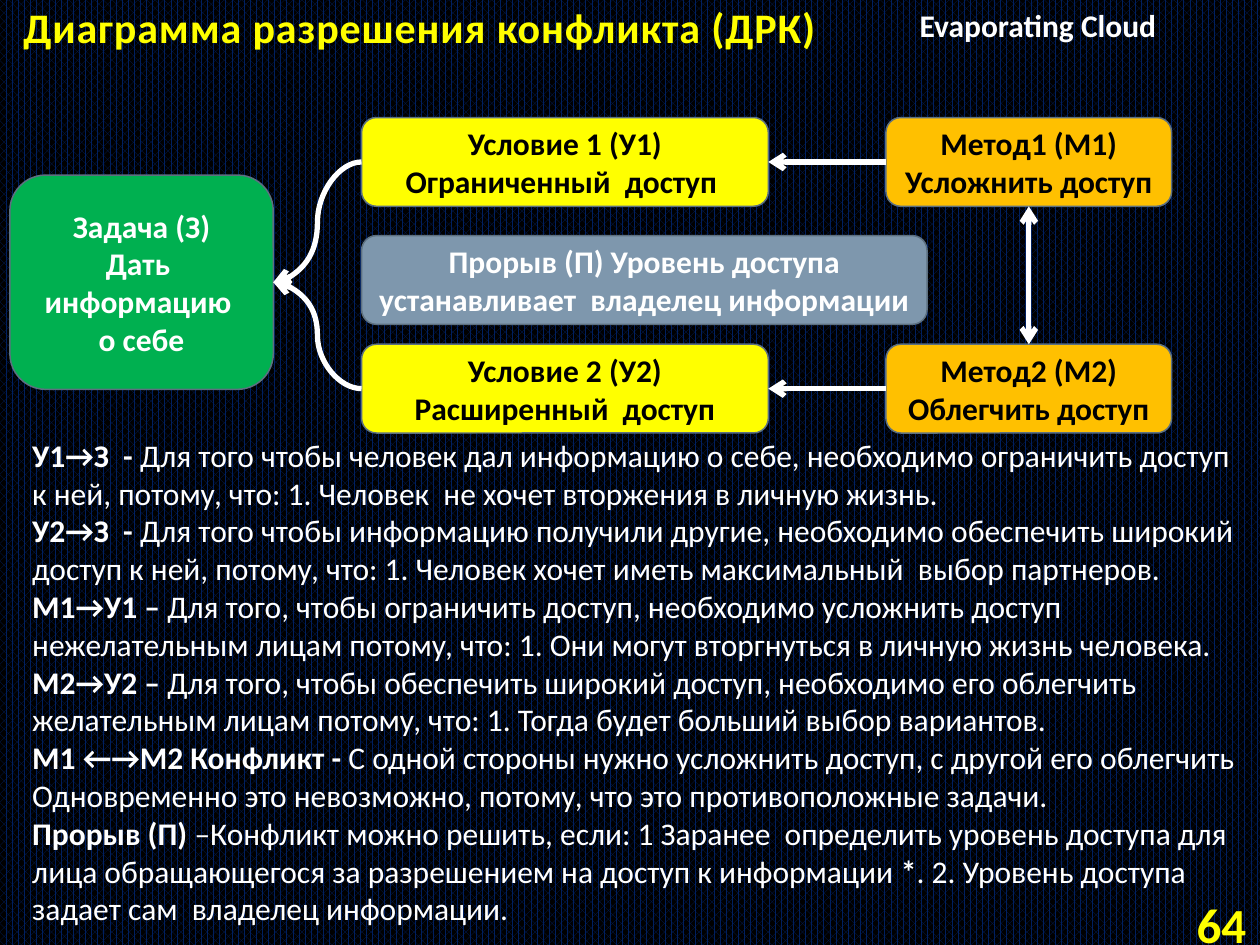
from dataclasses import dataclass

from pptx import Presentation
from pptx.dml.color import RGBColor as RGB
from pptx.enum.dml import MSO_PATTERN
from pptx.enum.shapes import MSO_CONNECTOR as Conn, MSO_SHAPE
from pptx.enum.text import MSO_ANCHOR as Anchor, MSO_AUTO_SIZE, PP_ALIGN as Align
from pptx.oxml.ns import qn
from pptx.util import Cm, Pt
from lxml.etree import SubElement


@dataclass(frozen=True)
class Theme:
    font: str = "Calibri"
    body: int = 18
    title: int = 24
    number: int = 28
    white: str = "FFFFFF"
    black: str = "000000"
    navy: str = "002060"
    yellow: str = "FFFF00"
    green: str = "00B050"
    orange: str = "FFC000"
    slate: str = "7E97AD"
    outline: str = "5D7080"


@dataclass(frozen=True)
class Box:
    lines: tuple
    left: float
    top: float
    width: float
    fill: str
    color: str = "000000"
    height: float = 1.79


T = Theme()


def rgb(value: str) -> RGB:
    return RGB.from_string(value)


def add_text(p, text: str, *, size=T.body, color=T.white, bold=True, spacing=0):
    """Add formatted text to a paragraph; a newline becomes a line break."""
    for i, part in enumerate(text.split("\n")):
        if i:
            p.add_line_break()
        r = p.add_run()
        r.text = part
        f = r.font
        f.name, f.size, f.bold = T.font, Pt(size), bold
        f.color.rgb = rgb(color)
        if spacing:
            r._r.get_or_add_rPr().set("spc", str(round(spacing * 100)))


def next_paragraph(tf, index: int):
    return tf.add_paragraph() if index else tf.paragraphs[0]


def add_box(s, box: Box):
    sp = s.shapes.add_shape(MSO_SHAPE.ROUNDED_RECTANGLE, Cm(box.left), Cm(box.top),
                            Cm(box.width), Cm(box.height))
    sp.shadow.inherit = False
    sp.fill.solid()
    sp.fill.fore_color.rgb = rgb(box.fill)
    sp.line.color.rgb = rgb(T.outline)
    sp.line.width = Pt(0.85)
    tf = sp.text_frame
    tf.word_wrap = True
    tf.vertical_anchor = Anchor.MIDDLE
    for i, line in enumerate(box.lines):
        p = next_paragraph(tf, i)
        p.alignment = Align.CENTER
        add_text(p, line, color=box.color)
    return sp


def add_arrow(s, start, start_site: int, end, end_site: int, *,
              kind=Conn.CURVE, both=False):
    c = s.shapes.add_connector(kind, 0, 0, 0, 0)
    c.begin_connect(start, start_site)
    c.end_connect(end, end_site)
    c.line.color.rgb = rgb(T.white)
    c.line.width = Pt(3)
    ln = c.line._get_or_add_ln()
    for tag in ("a:headEnd", "a:tailEnd") if both else ("a:tailEnd",):
        SubElement(ln, qn(tag), type="arrow")
    SubElement(c._element.spPr, qn("a:effectLst"))


def add_label(s, left: float, top: float, width: float, height: float, paragraphs, *,
              anchor=Anchor.TOP, align=Align.LEFT, grow=False, **fmt):
    """Each paragraph is a sequence of (text, bold) pairs."""
    tf = s.shapes.add_textbox(Cm(left), Cm(top), Cm(width), Cm(height)).text_frame
    tf.word_wrap = True
    tf.vertical_anchor = anchor
    if grow:
        tf.auto_size = MSO_AUTO_SIZE.SHAPE_TO_FIT_TEXT
    for i, runs in enumerate(paragraphs):
        p = next_paragraph(tf, i)
        p.alignment = align
        for text, bold in runs:
            add_text(p, text, bold=bold, **fmt)


# Diagram grid, in centimetres
COND_X, COND_W = 7.29, 8.2
METHOD_X, METHOD_W = 17.86, 5.76
ROWS = (2.37, 6.94)

GOAL = Box(("Задача (З)", "Дать  информацию \nо себе"),
           0.2, 3.53, 5.31, T.green, T.white, 4.32)
BREAKTHROUGH = Box(("Прорыв (П) Уровень доступа устанавливает  владелец информации",),
                   COND_X, 4.75, 11.4, T.slate, T.white)
CONDITIONS = (("Условие 1 (У1)", "Ограниченный  доступ "),
              ("Условие 2 (У2)", "Расширенный  доступ"))
METHODS = (("Метод1 (М1)", "Усложнить доступ"),
           ("Метод2 (М2)", "Облегчить доступ"))

EXPLANATIONS = (
    (("У1→З  -", True),
     (" Для того чтобы человек дал информацию о себе, необходимо ограничить доступ "
      "к ней, потому, что: 1. Человек  не хочет вторжения в личную жизнь.", False)),
    (("У2→З  -", True),
     (" Для того чтобы информацию получили другие, необходимо обеспечить широкий "
      "доступ к ней, потому, что: 1. Человек хочет иметь максимальный  выбор "
      "партнеров.", False)),
    (("M1→У1 –", True),
     (" Для того, чтобы ограничить доступ, необходимо усложнить доступ нежелательным "
      "лицам потому, что: 1. Они могут вторгнуться в личную жизнь человека.", False)),
    (("M2→У2 –", True),
     (" Для того, чтобы обеспечить широкий доступ, необходимо его облегчить "
      "желательным лицам потому, что: 1. Тогда будет больший выбор вариантов.", False)),
    (("М1 ←→М2 Конфликт - ", True),
     ("С одной стороны нужно усложнить доступ, с другой его облегчить Одновременно "
      "это невозможно, потому, что это противоположные задачи.", False)),
    (("Прорыв (П) ", True),
     ("–Конфликт можно решить, если: 1 Заранее  определить уровень доступа для лица "
      "обращающегося за разрешением на доступ к информации ", False),
     ("*", True),
     (". 2. Уровень доступа задает сам  владелец информации.", False)),
)


def main():
    prs = Presentation()
    prs.slide_width, prs.slide_height = Cm(25.4), Cm(19.05)
    s = prs.slides.add_slide(prs.slide_layouts[6])

    # Patterned background
    fill = s.background.fill
    fill.patterned()
    fill.pattern = MSO_PATTERN.PERCENT_70
    fill.fore_color.rgb = rgb(T.navy)
    fill.back_color.rgb = rgb(T.black)

    # Boxes
    goal = add_box(s, GOAL)
    add_box(s, BREAKTHROUGH)
    conditions = [add_box(s, Box(lines, COND_X, y, COND_W, T.yellow))
                  for lines, y in zip(CONDITIONS, ROWS)]
    methods = [add_box(s, Box(lines, METHOD_X, y, METHOD_W, T.orange))
               for lines, y in zip(METHODS, ROWS)]

    # Arrows: method to condition to goal, and the conflict between methods
    for method, condition in zip(methods, conditions):
        add_arrow(s, method, 1, condition, 3)
        add_arrow(s, condition, 1, goal, 3)
    add_arrow(s, methods[0], 2, methods[1], 0, kind=Conn.STRAIGHT, both=True)

    # Explanations, title, English term and slide number
    add_label(s, 0.4, 8.66, 25, 10.26, EXPLANATIONS, grow=True)
    add_label(s, 0.22, 0, 17.04, 1.17,
              [[("Диаграмма разрешения конфликта (ДРК)", True)]],
              anchor=Anchor.BOTTOM, size=T.title, color=T.yellow, spacing=0.5)
    add_label(s, 18.29, 0, 5.49, 1.02, [[("Evaporating Cloud", True)]], grow=True)
    add_label(s, 22.3, 18.11, 3.07, 1.02, [[("64", True)]], anchor=Anchor.MIDDLE,
              align=Align.RIGHT, size=T.number, color=T.yellow)

    prs.save("out.pptx")


if __name__ == "__main__":
    main()
